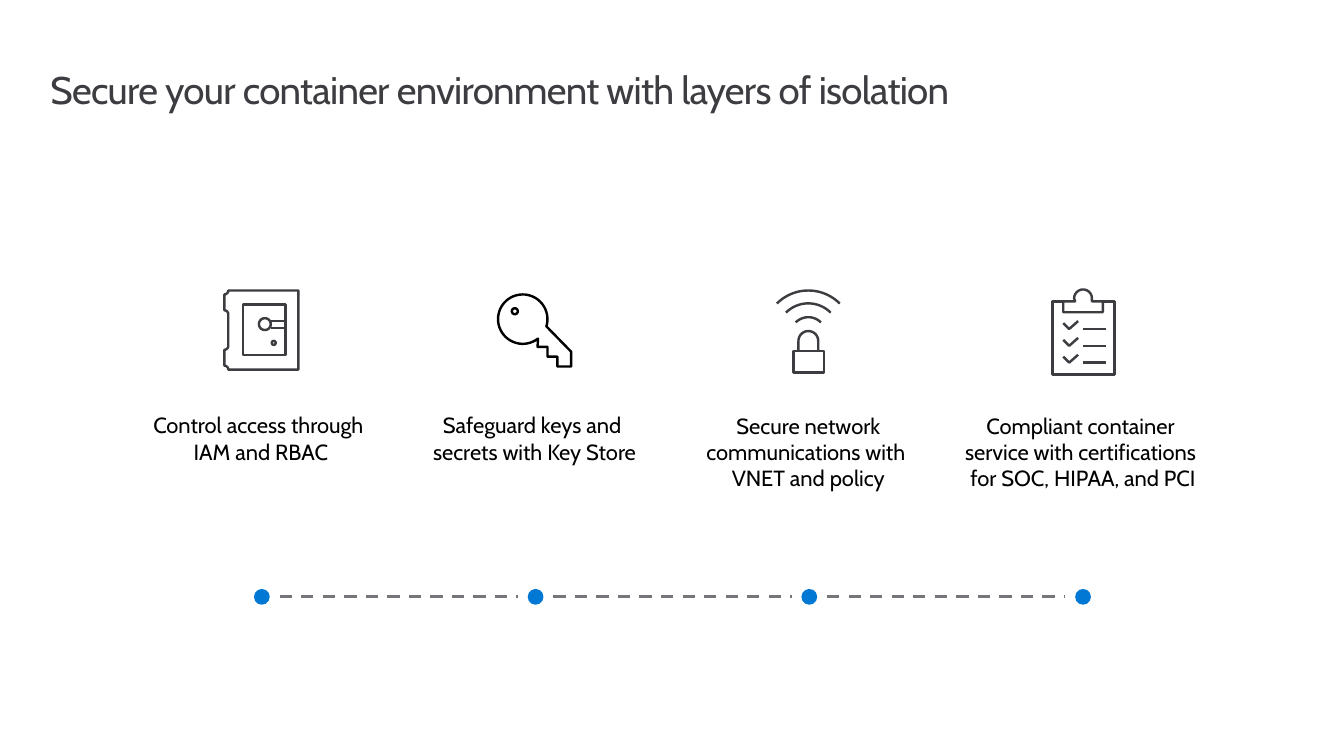
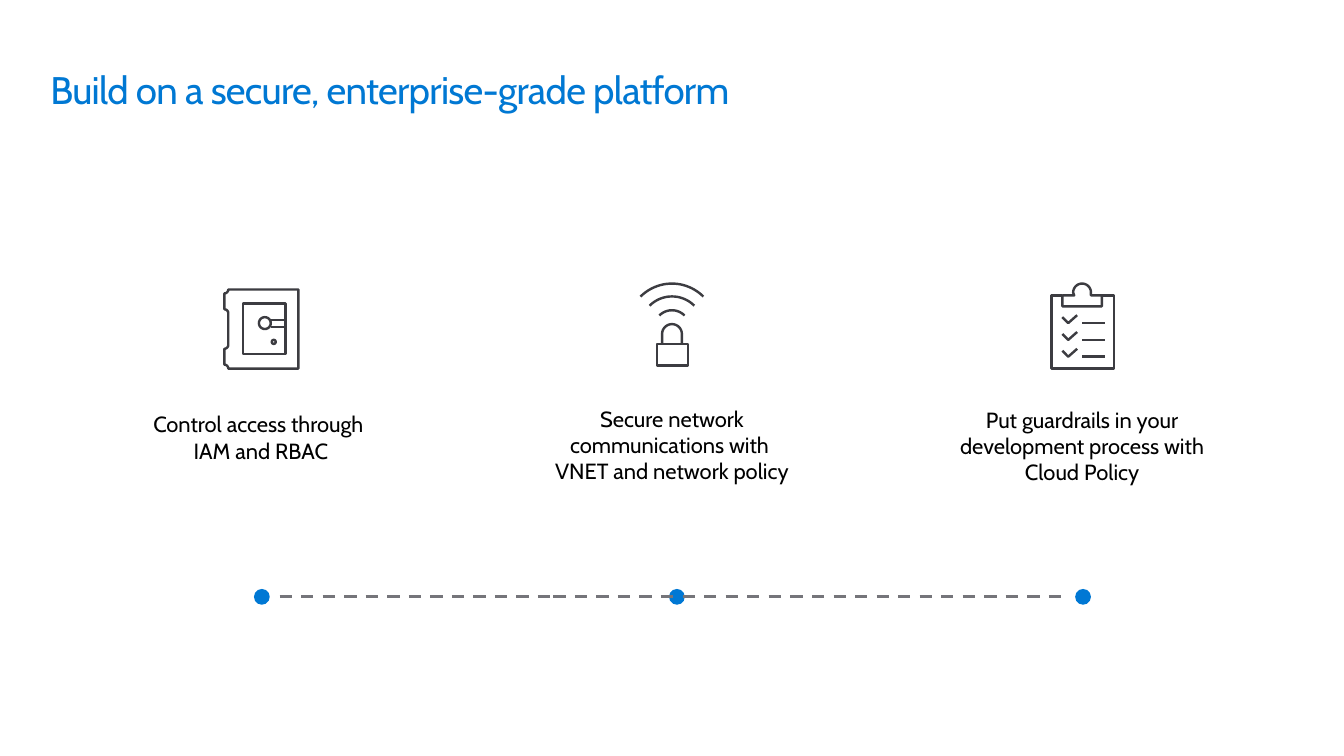
from dataclasses import dataclass
from math import cos, radians, sin

from lxml.etree import SubElement
from pptx import Presentation
from pptx.dml.color import RGBColor as RGB
from pptx.enum.dml import MSO_LINE
from pptx.enum.shapes import MSO_CONNECTOR, MSO_SHAPE
from pptx.enum.text import PP_ALIGN
from pptx.oxml.ns import qn
from pptx.util import Inches, Pt


@dataclass(frozen=True)
class Theme:
    """Colours, type and line sizes shared by the slides."""
    font: str = "Cabin"
    ink: RGB = RGB(0x3C, 0x3C, 0x41)
    black: RGB = RGB(0, 0, 0)
    blue: RGB = RGB(0x00, 0x78, 0xD4)
    title_blue: RGB = RGB(0x00, 0x78, 0xD3)
    grey: RGB = RGB(0x75, 0x75, 0x7A)
    title_size: Pt = Pt(28)
    title_leading: Pt = Pt(32)
    title_tracking: str = "-50"
    body_size: Pt = Pt(16)
    body_after: Pt = Pt(5.9)
    icon_line: Pt = Pt(1.75)
    dash_line: Pt = Pt(2.25)


@dataclass(frozen=True)
class Icon:
    """Line drawing placed relative to a column's centre and caption top."""
    dx: float
    dy: float
    strokes: list
    color: RGB = Theme.ink


@dataclass(frozen=True)
class Column:
    """Icons above a centred caption."""
    center: float
    top: float
    width: float
    height: float
    text: str
    icons: tuple


THEME = Theme()
FIRST, PITCH = 2.65, 2.77
DOT, DOT_GAP, TIMELINE_Y = 0.16, 0.18, 6.04
CAPTION_INSET = 0.16


def arc(cx, cy, r, start, end, steps=24):
    """Return points along a circular arc, angles in degrees clockwise."""
    angles = [radians(start + (end - start) * i / steps) for i in range(steps + 1)]
    return [(cx + r * cos(a), cy + r * sin(a)) for a in angles]


def circle(cx, cy, r):
    """Return a closed circular stroke."""
    return arc(cx, cy, r, 0, 360)[:-1], True


def rect(left, top, right, bottom):
    """Return a closed rectangular stroke."""
    return [(left, top), (right, top), (right, bottom), (left, bottom)], True


def line(*points):
    """Return an open stroke."""
    return list(points), False


def check_row(y):
    """Return the rule and the tick of one checklist row."""
    return [line((0.54, y), (0.31, y)),
            line((0.11, y - 0.06), (0.17, y), (0.26, y - 0.08))]


SAFE = Icon(-0.37, -1.07, [
    ([(0.75, 0), (0.75, 0.8), (0.04, 0.8), *arc(0, 0.8, 0.04, 0, -90, 6),
      *arc(0, 0.56, 0.04, 90, 0, 6), *arc(0, 0.24, 0.04, 0, -90, 6),
      *arc(0, 0, 0.04, 90, 0, 6)], True),
    rect(0.19, 0.14, 0.62, 0.65),
    circle(0.41, 0.34, 0.06),
    circle(0.5, 0.53, 0.02),
    line((0.46, 0.31), (0.62, 0.31)),
    line((0.47, 0.38), (0.62, 0.38)),
])
KEY = Icon(-0.37, -1.03, [
    (arc(0.25, 0.25, 0.25, 52, 377, 48)
     + [(0.74, 0.58), (0.74, 0.73), (0.6, 0.73), (0.6, 0.63),
        (0.5, 0.63), (0.5, 0.53), (0.4, 0.53)], True),
    circle(0.17, 0.17, 0.03),
], THEME.black)
SIGNAL = Icon(-0.31, -1.07, [
    (arc(0.31, 0.45, r, 315, 225), False) for r in (0.45, 0.32, 0.18)])
PADLOCK = Icon(-0.15, -0.66, [
    rect(0, 0.2, 0.31, 0.42),
    line((0.25, 0.2), *arc(0.15, 0.1, 0.1, 0, -180), (0.05, 0.2)),
])
CLIPBOARD = Icon(-0.31, -1.08, [
    (arc(0.31, 0.09, 0.09, 180, 360)
     + [(0.4, 0.12), (0.51, 0.12), (0.51, 0.23), (0.11, 0.23),
        (0.11, 0.12), (0.23, 0.12)], True),
    line((0.11, 0.12), (0, 0.12), (0, 0.86), (0.63, 0.86), (0.63, 0.12), (0.51, 0.12)),
    *(stroke for y in (0.4, 0.57, 0.74) for stroke in check_row(y)),
])


def add_text(slide, box, text, size, color, inset=0):
    """Add a wrapped one-paragraph text box and return its paragraph."""
    tf = slide.shapes.add_textbox(*map(Inches, box)).text_frame
    tf.word_wrap = True
    tf.margin_left = tf.margin_right = tf.margin_top = tf.margin_bottom = Inches(inset)
    p = tf.paragraphs[0]
    p.text = text
    p.font.name, p.font.size, p.font.color.rgb = THEME.font, size, color
    return p


def add_title(slide, text, color):
    """Add the slide title."""
    p = add_text(slide, (0.51, 0.69, 12.9, 0.45), text, THEME.title_size, color)
    p.line_spacing = THEME.title_leading
    for r in p.runs:
        r._r.get_or_add_rPr().set("spc", THEME.title_tracking)


def add_icon(slide, icon, left, top):
    """Draw an icon's strokes as one outline from its top left corner."""
    builder = None
    for points, closed in icon.strokes:
        start, *rest = [(Inches(left + x), Inches(top + y)) for x, y in points]
        if builder is None:
            builder = slide.shapes.build_freeform(*start)
        else:
            builder.move_to(*start)
        builder.add_line_segments(rest, close=closed)
    sp = builder.convert_to_shape()
    sp.shadow.inherit = False
    sp.fill.background()
    sp.line.color.rgb, sp.line.width = icon.color, THEME.icon_line


def add_column(slide, col):
    """Add a column's caption and the icons above it."""
    box = (col.center - col.width / 2, col.top, col.width, col.height)
    p = add_text(slide, box, col.text, THEME.body_size, THEME.black, CAPTION_INSET)
    p.alignment, p.space_after = PP_ALIGN.CENTER, THEME.body_after
    for icon in col.icons:
        add_icon(slide, icon, col.center + icon.dx, col.top + icon.dy)


def add_timeline(slide, y, dots, spans):
    """Add dots and the dashed lines that run between them."""
    for x in dots:
        sp = slide.shapes.add_shape(MSO_SHAPE.OVAL, Inches(x - DOT / 2),
                                    Inches(y - DOT / 2), Inches(DOT), Inches(DOT))
        sp.shadow.inherit = False
        sp.fill.solid()
        sp.fill.fore_color.rgb = THEME.blue
        sp.line.fill.background()
    for start, end in spans:
        cxn = slide.shapes.add_connector(MSO_CONNECTOR.STRAIGHT, Inches(start),
                                         Inches(y), Inches(end), Inches(y))
        cxn.line.color.rgb, cxn.line.width = THEME.grey, THEME.dash_line
        cxn.line.dash_style = MSO_LINE.DASH
        SubElement(cxn._element.spPr, qn("a:effectLst"))


def add_layers_slide(prs, title, color, dots, spans, columns):
    """Add a slide with a title, a timeline and captioned icons."""
    slide = prs.slides.add_slide(prs.slide_layouts[6])
    add_title(slide, title, color)
    add_timeline(slide, TIMELINE_Y, dots, spans)
    for col in columns:
        add_column(slide, col)


def main():
    """Build and save the presentation."""
    prs = Presentation()
    prs.slide_width, prs.slide_height = Inches(13.6), Inches(7.65)
    stops = [FIRST + PITCH * i for i in range(4)]
    gaps = [(a + DOT_GAP, b - DOT_GAP) for a, b in zip(stops, stops[1:])]
    access = "Control access through \nIAM and RBAC"
    network = "Secure network communications with \nVNET and "

    add_layers_slide(
        prs, "Secure your container environment with layers of isolation", THEME.ink,
        stops, gaps, [
            Column(2.64, 4.01, 2.9, 0.86, access, (SAFE,)),
            Column(5.41, 4.01, 2.9, 0.86,
                   "Safeguard keys and \nsecrets with Key Store", (KEY,)),
            Column(8.18, 4.01, 2.9, 1.12, network + "policy", (SIGNAL, PADLOCK)),
            Column(10.96, 4.01, 3.26, 1.12,
                   "Compliant container \nservice with certifications \n"
                   "for SOC, HIPAA, and PCI", (CLIPBOARD,)),
        ])
    add_layers_slide(
        prs, "Build on a secure, enterprise-grade platform", THEME.title_blue,
        (stops[0], 6.85, stops[-1]), ((2.83, 5.6), (5.6, 8), (8, 10.77)), [
            Column(2.64, 4, 2.9, 0.86, access, (SAFE,)),
            Column(6.8, 3.94, 2.9, 1.12, network + "network policy", (SIGNAL, PADLOCK)),
            Column(10.95, 3.95, 3.26, 1.12,
                   "Put guardrails in your development process with Cloud Policy",
                   (CLIPBOARD,)),
        ])
    prs.save("out.pptx")


if __name__ == "__main__":
    main()
